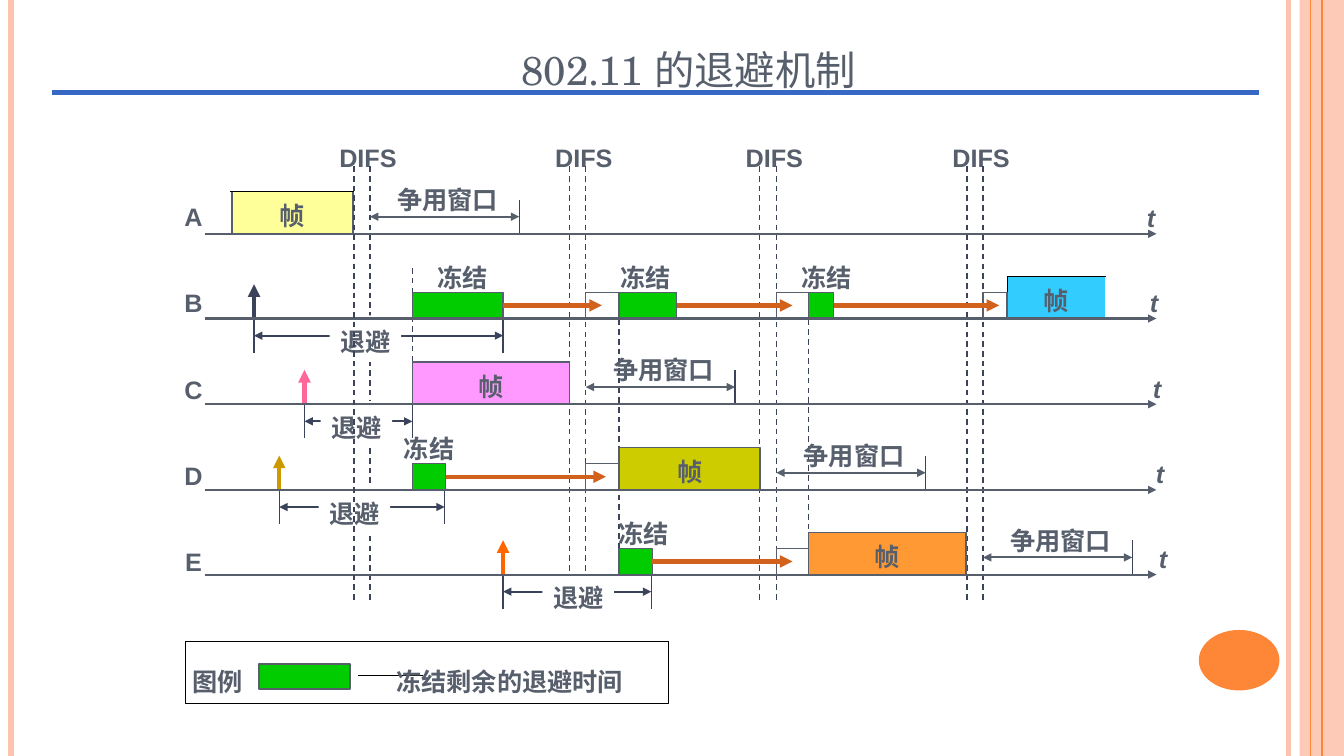
from dataclasses import dataclass

from pptx import Presentation
from pptx.dml.color import RGBColor
from pptx.enum.dml import MSO_LINE
from pptx.enum.shapes import MSO_CONNECTOR, MSO_SHAPE
from pptx.enum.text import MSO_ANCHOR, MSO_AUTO_SIZE, PP_ALIGN
from pptx.oxml.ns import qn
from pptx.oxml.xmlchemy import OxmlElement
from pptx.util import Emu, Pt


@dataclass(frozen=True)
class Theme:
    """Colours, fonts and type sizes of the slide."""
    text: str = "575F6D"
    ink: str = "3B435B"
    black: str = "000000"
    white: str = "FFFFFF"
    frozen: str = "00CC00"
    countdown: str = "D2611C"
    rule: str = "3668C4"
    accent: str = "FE8637"
    pale: str = "FEC3AE"
    body_font: str = "Arial"
    title_font: str = "TeX Gyre Schola"
    body_size: int = 18
    title_size: int = 36


@dataclass(frozen=True)
class Box:
    """A region in px, 100 to the inch."""
    left: int
    top: int
    width: int
    height: int

    def inner(self, x, y, width, height):
        """Return a box placed relative to this one."""
        return Box(self.left + x, self.top + y, width, height)


@dataclass(frozen=True)
class Lane:
    """Events of one station, as px along its time axis."""
    name: str
    frame: tuple
    frame_color: str
    window: int | None = None
    arrival_color: str | None = None
    backoff: tuple = ()
    waits: tuple = ()
    freezes: tuple = ()


THEME = Theme()
LANE_PITCH = 84.5
DIFS_SLOTS = [(148, 164), (362, 378), (550, 567), (756, 772)]
FREEZE_GUIDES = [(206, 101, 194), (411, 152, 380), (599, 152, 363)]
LANES = [
    Lane("A", (27, 147), "FFFF99", window=164),
    Lane("B", (796, 893), "33CCFF", None, THEME.ink, (49, 296, 124),
         ((378, 411), (567, 599), (772, 796)),
         ((206, 296, 220, 394), (411, 468, 402, 583), (599, 624, 581, 788))),
    Lane("C", (206, 362), "FF99FF", 378, "FF6699", (99, 206, 115)),
    Lane("D", (411, 551), "CCCC00", 567, "CC9900", (74, 238, 113),
         ((378, 411),), ((206, 239, 187, 398),)),
    Lane("E", (599, 755), "FF9933", 772, "FF6600", (296, 443, 335),
         ((567, 599),), ((411, 444, 400, 583),)),
]


def px(value):
    """Turn px into EMU."""
    return Emu(round(value * 9144))


def rgb(color):
    """Turn a hex string into a colour."""
    return RGBColor.from_string(color)


def write_text(shape, text, *, size=THEME.body_size, font=THEME.body_font, bold=True,
               italic=False, spacing=1.2, anchor=MSO_ANCHOR.TOP, wrap=False):
    """Fill a shape with one centred, formatted paragraph."""
    frame = shape.text_frame
    frame.word_wrap = wrap
    frame.auto_size = MSO_AUTO_SIZE.NONE
    frame.vertical_anchor = anchor
    paragraph = frame.paragraphs[0]
    paragraph.alignment = PP_ALIGN.CENTER
    paragraph.line_spacing = spacing
    run = paragraph.add_run()
    run.text = text
    run.font.name, run.font.size = font, Pt(size)
    run.font.bold, run.font.italic = bold, italic
    run.font.color.rgb = rgb(THEME.text)
    return run


def add_label(slide, box, text, fill=None, **text_format):
    """Add a text box, with a background if a fill is given."""
    shape = slide.shapes.add_textbox(px(box.left), px(box.top), px(box.width), px(box.height))
    if fill:
        shape.fill.solid()
        shape.fill.fore_color.rgb = rgb(fill)
    write_text(shape, text, **text_format)


def add_block(slide, box, fill=None, line=None, weight=1, kind=MSO_SHAPE.RECTANGLE):
    """Add a flat preset shape."""
    shape = slide.shapes.add_shape(kind, px(box.left), px(box.top), px(box.width), px(box.height))
    shape.shadow.inherit = False
    if fill:
        shape.fill.solid()
        shape.fill.fore_color.rgb = rgb(fill)
    else:
        shape.fill.background()
    if line:
        shape.line.color.rgb = rgb(line)
        shape.line.width = Pt(weight)
    else:
        shape.line.fill.background()
    return shape


def add_line(slide, start, end, color=THEME.ink, weight=1, dash=False, arrows=()):
    """Add a straight connector with optional dash and arrowheads."""
    line = slide.shapes.add_connector(MSO_CONNECTOR.STRAIGHT, *map(px, (*start, *end)))
    line.line.color.rgb = rgb(color)
    line.line.width = Pt(weight)
    if dash:
        line.line.dash_style = MSO_LINE.DASH
    for tag in arrows:
        arrow = OxmlElement(f"a:{tag}")
        arrow.set("type", "triangle")
        line.line._get_or_add_ln().append(arrow)
    line._element.spPr.append(OxmlElement("a:effectLst"))
    return line


def set_opacity(shape, percent):
    """Make the first colour of a shape partly transparent."""
    alpha = OxmlElement("a:alpha")
    alpha.set("val", str(percent * 1000))
    shape._element.spPr.find(".//" + qn("a:srgbClr")).append(alpha)


def draw_border(slide, box):
    """Draw the side stripes and the page disc."""
    right, bottom = box.left + box.width, box.top + box.height
    edges = [(box.left + 11, THEME.pale, 4.5), (right - 55, THEME.pale, 3),
             (right - 22, THEME.accent, 1.5), (right - 33, THEME.accent, 0.75)]
    set_opacity(add_block(slide, Box(right - 44, box.top, 44, box.height), THEME.pale), 87)
    for x, color, weight in edges:
        add_line(slide, (x, box.top), (x, bottom), color, weight)
    add_block(slide, Box(right - 144, bottom - 125, 80, 60), THEME.accent, kind=MSO_SHAPE.OVAL)


def draw_header(slide, box):
    """Place the title and the rule under it."""
    title = slide.shapes.title
    title.left, title.top = px(box.left + 205), px(box.top)
    title.width, title.height = px(852), px(box.height)
    run = write_text(title, "802.11 的退避机制", size=THEME.title_size, font=THEME.title_font,
                     bold=False, spacing=1, anchor=MSO_ANCHOR.BOTTOM, wrap=True)
    run.font._element.set("cap", "small")
    y = box.top + 71
    add_line(slide, (box.left, y), (box.left + box.width, y), THEME.rule, 3.5)


def draw_guides(slide, box):
    """Draw the dashed DIFS and freeze lines with the DIFS names."""
    for slot in DIFS_SLOTS:
        add_label(slide, box.inner(slot[1] - 41, 0, 78, 46), "DIFS")
        for x in slot:
            add_line(slide, (box.left + x, box.top + 35), (box.left + x, box.top + box.height), dash=True)
    for x, top, bottom in FREEZE_GUIDES:
        add_line(slide, (box.left + x, box.top + 35 + top), (box.left + x, box.top + 35 + bottom), dash=True)


def draw_frame(slide, axis, lane):
    """Draw the frame a station sends."""
    start, end = lane.frame
    outline = None if lane.name == "B" else THEME.text
    block = add_block(slide, axis.inner(start, -42, end - start, 42), lane.frame_color, outline)
    write_text(block, "帧", anchor=MSO_ANCHOR.MIDDLE)
    left, top = axis.left + start, axis.top - 42
    if lane.name == "A":
        add_line(slide, (left - 2, top), (axis.left + end + 1, top), THEME.black, 0.75)
    if lane.name == "B":
        builder = slide.shapes.build_freeform(px(left), px(axis.top))
        builder.add_line_segments([(px(left), px(top)), (px(axis.left + end + 1), px(top))], close=False)
        edge = builder.convert_to_shape()
        edge.shadow.inherit = False
        edge.fill.background()
        edge.line.color.rgb = rgb(THEME.black)
        edge.line.width = Pt(0.75)


def draw_lane(slide, axis, lane, index):
    """Draw one station's events around its time axis."""
    def point(x, y):
        return axis.left + x, axis.top + y

    both = ("headEnd", "tailEnd")
    draw_frame(slide, axis, lane)
    for start, end in lane.waits:
        add_block(slide, axis.inner(start, -26, end - start, 26), THEME.white, THEME.text)
    for start, end, label, countdown_end in lane.freezes:
        block = add_block(slide, axis.inner(start, -26, end - start, 26), THEME.frozen, THEME.text)
        arrow = add_line(slide, point(end, -13), point(countdown_end, -13),
                         THEME.countdown, 3, arrows=("tailEnd",))
        arrow.begin_connect(block, 3)
        add_label(slide, axis.inner(label, -67, 71, 46), "冻结")
    if lane.window is not None:
        end = lane.window + 148
        add_line(slide, point(lane.window, -17), point(end, -17), THEME.text, 1.5, arrows=both)
        add_line(slide, point(end, -34), point(end, 0))
        add_label(slide, axis.inner(lane.window + 16, -60, 122, 46), "争用窗口")
    if lane.backoff:
        start, end, label = lane.backoff
        add_line(slide, point(start, 0), point(start, -34), lane.arrival_color, 3, arrows=("tailEnd",))
        add_line(slide, point(start, 17), point(end, 17), weight=1.5, arrows=both)
        add_label(slide, axis.inner(label, -3, 71, 46), "退避", THEME.white)
        for x in (start, end):
            add_line(slide, point(x, 0), point(x, 34))
    add_label(slide, axis.inner(-30, index - 43, 38, 46), lane.name)
    add_label(slide, axis.inner(924 + 3 * index, -42, 29, 46), "t", italic=True)
    add_line(slide, point(0, 0), point(axis.width, 0), THEME.text, 1.5, arrows=("tailEnd",))


def draw_timeline(slide, box):
    """Draw the guides and all station lanes."""
    draw_guides(slide, box)
    for index, lane in enumerate(LANES):
        axis = box.inner(0, round(102 + LANE_PITCH * index), box.width, 0)
        draw_lane(slide, axis, lane, index)
    x = box.left + DIFS_SLOTS[0][0]
    add_line(slide, (x, box.top + 35), (x, box.top + box.height), dash=True)


def draw_legend(slide, box):
    """Draw the boxed key to the green blocks."""
    add_block(slide, box, line=THEME.black, weight=0.75)
    add_label(slide, box.inner(-4, 14, 71, 46), "图例")
    add_block(slide, box.inner(73, 23, 90, 25), THEME.frozen, THEME.text, 1.5)
    add_line(slide, (box.left + 171, box.top + 34), (box.left + 236, box.top + 34), THEME.black, 0.75)
    add_label(slide, box.inner(199, 14, 245, 46), "冻结剩余的退避时间")


def main():
    """Build and save the slide."""
    presentation = Presentation()
    presentation.slide_width, presentation.slide_height = px(1333), px(750)
    slide = presentation.slides.add_slide(presentation.slide_layouts[5])
    draw_border(slide, Box(0, 0, 1333, 750))
    draw_header(slide, Box(52, 21, 1197, 79))
    draw_timeline(slide, Box(203, 130, 944, 465))
    draw_legend(slide, Box(184, 636, 479, 62))
    presentation.save("out.pptx")


if __name__ == "__main__":
    main()
